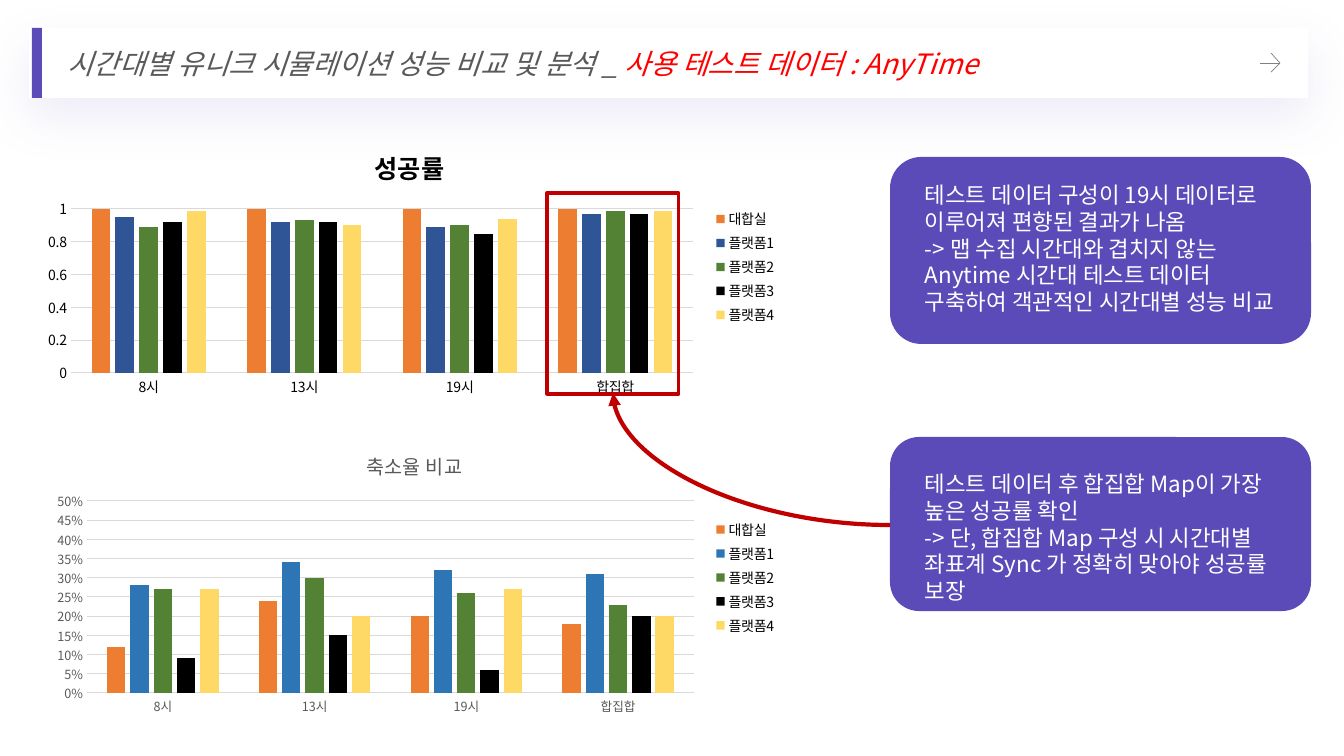
from lxml import etree
from pptx import Presentation
from pptx import util as u
from pptx.chart.data import CategoryChartData
from pptx.dml.color import RGBColor
from pptx.enum import chart as ch, shapes, text
from pptx.oxml import parse_xml
from pptx.oxml.ns import qn

# Content
FONT = "Noto Sans CJK KR"
HEX = dict(white="FFFFFF", violet="5B4BB9", gray="595959", arrow="808080",
           grid="D9D9D9", black="000000", red="FF0000", dark="C00000",
           orange="ED7D31", navy="2F5597", blue="2E75B6", green="548235",
           yellow="FFD966")
HEAD = [("시간대별 유니크 시뮬레이션 성능 비교 및 분석 _ ", "gray"),
        ("사용 테스트 데이터 : AnyTime", "red")]
HOURS = ["8시", "13시", "19시", "합집합"]
NAMES = ["대합실", "플랫폼1", "플랫폼2", "플랫폼3", "플랫폼4"]
CHARTS = [
    dict(title="성공률", size=18, bold=True, ink="black", box=(32, 131, 755, 272),
         plot=(71, 209, 622, 164), axis=10, axink="black", top=1, step=0.2, fmt="General",
         hues=["orange", "navy", "green", "black", "yellow"],
         rows=[(87, 85, 94, 95), (0.95, 0.92, 0.89, 0.97), (0.89, 0.93, 0.9, 0.99),
               (0.92, 0.92, 0.85, 0.97), (0.99, 0.9, 0.94, 0.99)]),
    dict(title="축소율 비교", size=14, bold=False, ink="gray", box=(42, 435, 745, 285),
         plot=(87, 501, 607, 192), axis=9, axink="gray", top=0.5, step=0.05, fmt="0%",
         hues=["orange", "blue", "green", "black", "yellow"],
         rows=[(0.12, 0.24, 0.2, 0.18), (0.28, 0.34, 0.32, 0.31), (0.27, 0.3, 0.26, 0.23),
               (0.09, 0.15, 0.06, 0.2), (0.27, 0.2, 0.27, 0.2)]),
]
NOTES = [
    ((890, 157, 421, 187), (915, 176, 371, 146),
     ["테스트 데이터 구성이 19시 데이터로 이루어져 편향된 결과가 나옴",
      "-> 맵 수집 시간대와 겹치지 않는 Anytime 시간대 테스트 데이터 구축하여 객관적인 시간대별 성능 비교"]),
    ((890, 437, 421, 174), (915, 465, 382, 119),
     ["테스트 데이터 후 합집합 Map이 가장 높은 성공률 확인",
      "-> 단, 합집합 Map 구성 시 시간대별 좌표계 Sync 가 정확히 맞아야 성공률 보장"]),
]
FRAME = (547, 193, 132, 201)

# Helpers
NS = 'xmlns:a="http://schemas.openxmlformats.org/drawingml/2006/main"'


def px(*vals):
    return [u.Emu(round(v * 914400 / 100.8)) for v in vals]


def rgb(name):
    return RGBColor.from_string(HEX[name])


def style(font, size, ink, bold=False, italic=False):
    font.name, font.size, font.bold, font.italic = FONT, u.Pt(size), bold, italic
    font.color.rgb = rgb(ink)
    face = etree.Element(qn("a:ea"), typeface=FONT)
    font._rPr.find(qn("a:latin")).addnext(face)


def write(para, words, **fmt):
    run = para.add_run()
    run.text = words
    style(run.font, **fmt)


def stroke(line, ink, width):
    line.color.rgb, line.width = rgb(ink), u.Pt(width)


def shape(kind, box, fill=None):
    item = page.shapes.add_shape(kind, *px(*box))
    item.shadow.inherit = False
    item.line.fill.background()
    if fill:
        item.fill.solid()
        item.fill.fore_color.rgb = rgb(fill)
    else:
        item.fill.background()
    return item


def link(owner, kind, ends, ink, width):
    item = owner.add_connector(kind, *px(*ends))
    stroke(item.line, ink, width)
    etree.SubElement(item._element.spPr, qn("a:effectLst"))
    return item


def column(spec):
    data = CategoryChartData(number_format=spec["fmt"])
    data.categories = HOURS
    for name, row in zip(NAMES, spec["rows"]):
        data.add_series(name, row)
    chart = page.shapes.add_chart(ch.XL_CHART_TYPE.COLUMN_CLUSTERED,
                                  *px(*spec["box"]), data).chart
    style(chart.font, 10, "black")
    chart.has_title = True
    write(chart.chart_title.text_frame.paragraphs[0], spec["title"],
          size=spec["size"], ink=spec["ink"], bold=spec["bold"])
    chart.chart_title.include_in_layout = False
    chart.has_legend = True
    chart.legend.position = ch.XL_LEGEND_POSITION.RIGHT
    chart.legend.include_in_layout = False
    style(chart.legend.font, 10, "black")

    plot = chart.plots[0]
    plot.gap_width, plot.overlap, plot.vary_by_categories = 219, -27, False
    for row, hue in zip(plot.series, spec["hues"]):
        row.format.fill.solid()
        row.format.fill.fore_color.rgb = rgb(hue)

    cat, val = chart.category_axis, chart.value_axis
    for axis in (cat, val):
        axis.major_tick_mark = axis.minor_tick_mark = ch.XL_TICK_MARK.NONE
        style(axis.tick_labels.font, spec["axis"], spec["axink"])
    stroke(cat.format.line, "grid", 0.75)
    val.format.line.fill.background()
    stroke(val.major_gridlines.format.line, "grid", 0.75)
    val.minimum_scale, val.maximum_scale, val.major_unit = 0, spec["top"], spec["step"]
    val.tick_labels.number_format = spec["fmt"]
    val.tick_labels.number_format_is_linked = False

    # Plot area as shares of the chart box
    (left, top, wide, high), (x, y, w, h) = spec["box"], spec["plot"]
    area = chart._chartSpace.chart.plotArea
    for old in area.findall(qn("c:layout")):
        area.remove(old)
    lay = etree.Element(qn("c:layout"))
    area.insert(0, lay)
    man = etree.SubElement(lay, qn("c:manualLayout"))
    parts = dict(layoutTarget="inner", xMode="edge", yMode="edge",
                 x=(x - left) / wide, y=(y - top) / high, w=w / wide, h=h / high)
    for tag, part in parts.items():
        etree.SubElement(man, qn("c:" + tag), val=str(part))


deck = Presentation()
deck.slide_width, deck.slide_height = px(1344, 756)
page = deck.slides.add_slide(deck.slide_layouts[6])
RECT = shapes.MSO_SHAPE.RECTANGLE

# Header
head = shape(RECT, (29, 28, 1279, 70), "white")
head._element.spPr.find(qn("a:effectLst")).append(parse_xml(
    f'<a:outerShdw {NS} blurRad="{u.Pt(35)}" dist="{u.Pt(13)}" dir="5400000" algn="t" '
    f'rotWithShape="0"><a:srgbClr val="{HEX["violet"]}"><a:alpha val="10000"/>'
    '</a:srgbClr></a:outerShdw>'))
head.text_frame.vertical_anchor = text.MSO_ANCHOR.MIDDLE
para = head.text_frame.paragraphs[0]
para.alignment = text.PP_ALIGN.LEFT
para._p.get_or_add_pPr().set("marL", str(px(29)[0]))
for words, ink in HEAD:
    write(para, words, size=20, ink=ink, italic=True)
shape(RECT, (32, 28, 10, 70), "violet")

# Header arrow
group = page.shapes.add_group_shape()
pen = group.shapes.build_freeform(*px(1271, 53), scale=1.0)
pen.add_line_segments([px(1280, 63), px(1271, 72)], close=False)
tip = pen.convert_to_shape()
tip.shadow.inherit = False
tip.fill.background()
stroke(tip.line, "arrow", 0.5)
link(group.shapes, shapes.MSO_CONNECTOR.STRAIGHT, (1260, 63, 1280, 63), "arrow", 0.5)

# Charts
for spec in CHARTS:
    column(spec)

# Notes
for box, area, lines in NOTES:
    shape(shapes.MSO_SHAPE.ROUNDED_RECTANGLE, box, "violet")
    frame = page.shapes.add_textbox(*px(*area)).text_frame
    frame.word_wrap = True
    frame.auto_size = text.MSO_AUTO_SIZE.SHAPE_TO_FIT_TEXT
    for i, words in enumerate(lines):
        para = frame.add_paragraph() if i else frame.paragraphs[0]
        write(para, words, size=16, ink="white")

# Highlight and its curved arrow, turned to run from the note to the frame
stroke(shape(RECT, FRAME).line, "dark", 2.25)
curve = link(page.shapes, shapes.MSO_CONNECTOR.CURVE, (613, 393, 890, 525), "dark", 3)
curve._element.spPr.find(qn("a:prstGeom")).set("prst", "curvedConnector2")
curve._element.spPr.find(qn("a:xfrm")).set("rot", "10800000")
etree.SubElement(curve.line._get_or_add_ln(), qn("a:tailEnd"), type="triangle")

deck.save("out.pptx")
